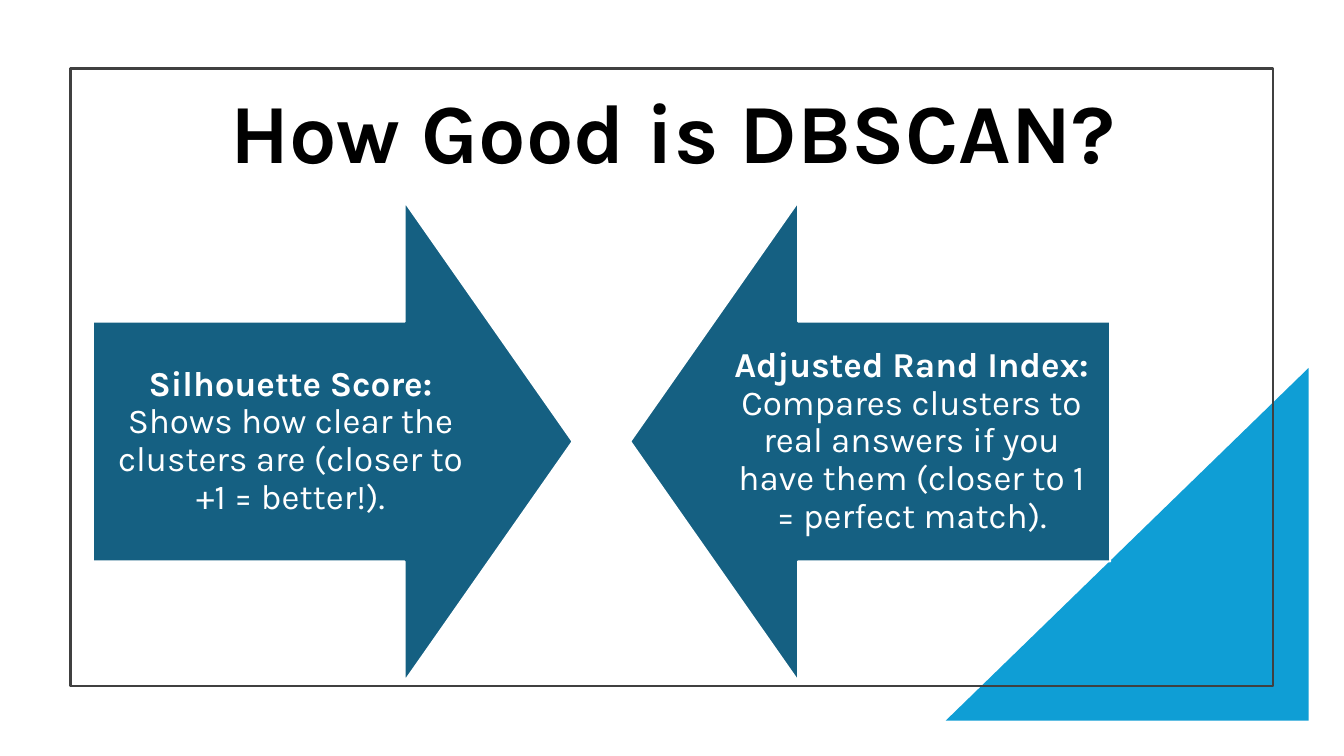
import dataclasses

import pptx
import pptx.dml.color
import pptx.enum.shapes
import pptx.enum.text
import pptx.util

SHAPES = pptx.enum.shapes.MSO_SHAPE
ANCHORS = pptx.enum.text.MSO_ANCHOR
EMU_PER_PX = 9144  # 100 px to the inch


@dataclasses.dataclass(frozen=True)
class Theme:
    font: str = "Karla"
    title_size: int = 60
    body_size: int = 25
    title_color: str = "000000"
    body_color: str = "FFFFFF"
    corner: str = "0F9ED5"
    frame: str = "404040"
    arrow: str = "156082"
    arrow_edge: str = "FFFFFF"
    line_width: float = 1.5
    line_spacing: float = 0.9


def px(length):
    return pptx.util.Emu(length * EMU_PER_PX)


def rgb(color):
    return pptx.dml.color.RGBColor.from_string(color)


def apply(target, values):
    for name, value in values.items():
        setattr(target, name, value)


class SlideBuilder:
    def __init__(self, slide, theme):
        self.slide = slide
        self.theme = theme

    def shape(self, kind, box, fill=None, line=None, rotation=0, flip=False, adjustments=()):
        shape = self.slide.shapes.add_shape(kind, *map(px, box))
        shape.shadow.inherit = False
        shape.rotation = rotation
        if flip:
            shape._element.spPr.get_or_add_xfrm().set("flipH", "1")
        for index, value in enumerate(adjustments):
            shape.adjustments[index] = value
        if fill:
            shape.fill.solid()
            shape.fill.fore_color.rgb = rgb(fill)
        else:
            shape.fill.background()
        if line:
            shape.line.color.rgb = rgb(line)
            shape.line.width = pptx.util.Pt(self.theme.line_width)
        else:
            shape.line.fill.background()
        return shape

    def text(self, box, runs, size, color, anchor, inset=None):
        """Add one centred paragraph; runs are (text, bold) pairs."""
        frame = self.slide.shapes.add_textbox(*map(px, box)).text_frame
        apply(frame, {"word_wrap": True, "vertical_anchor": anchor})
        if inset is not None:
            sides = ("left", "top", "right", "bottom")
            apply(frame, {f"margin_{side}": px(inset) for side in sides})
        paragraph = frame.paragraphs[0]
        apply(paragraph, {
            "alignment": pptx.enum.text.PP_ALIGN.CENTER,
            "line_spacing": self.theme.line_spacing,
        })
        for content, bold in runs:
            run = paragraph.add_run()
            run.text = content
            apply(run.font, {"name": self.theme.font, "size": pptx.util.Pt(size), "bold": bold})
            run.font.color.rgb = rgb(color)

    def metric_arrow(self, left, text_left, rotation, name, meaning):
        theme = self.theme
        self.shape(SHAPES.DOWN_ARROW, (left, 200, 476, 476), theme.arrow, theme.arrow_edge,
                   rotation=rotation, adjustments=(0.5, 0.35))
        self.text((text_left, 319, 392, 238), [(name, True), (meaning, False)],
                  theme.body_size, theme.body_color, ANCHORS.MIDDLE, inset=19)


def main():
    presentation = pptx.Presentation()
    apply(presentation, {"slide_width": px(1333), "slide_height": px(750)})
    slide = presentation.slides.add_slide(presentation.slide_layouts[6])
    theme = Theme()
    builder = SlideBuilder(slide, theme)

    # Corner triangle and frame
    builder.shape(SHAPES.RIGHT_TRIANGLE, (938, 365, 360, 350), theme.corner, flip=True)
    builder.shape(SHAPES.RECTANGLE, (70, 68, 1193, 613), line=theme.frame)

    # Title
    builder.text((92, 40, 1150, 145), [("How Good is DBSCAN?", True)],
                 theme.title_size, theme.title_color, ANCHORS.BOTTOM)

    # Facing arrows, one per metric
    builder.metric_arrow(92, 92, 270, "Silhouette Score:",
                         " Shows how clear the clusters are (closer to +1 = better!).")
    builder.metric_arrow(625, 708, 90, "Adjusted Rand Index:",
                         " Compares clusters to real answers if you have them"
                         " (closer to 1 = perfect match).")

    presentation.save("out.pptx")


if __name__ == "__main__":
    main()
